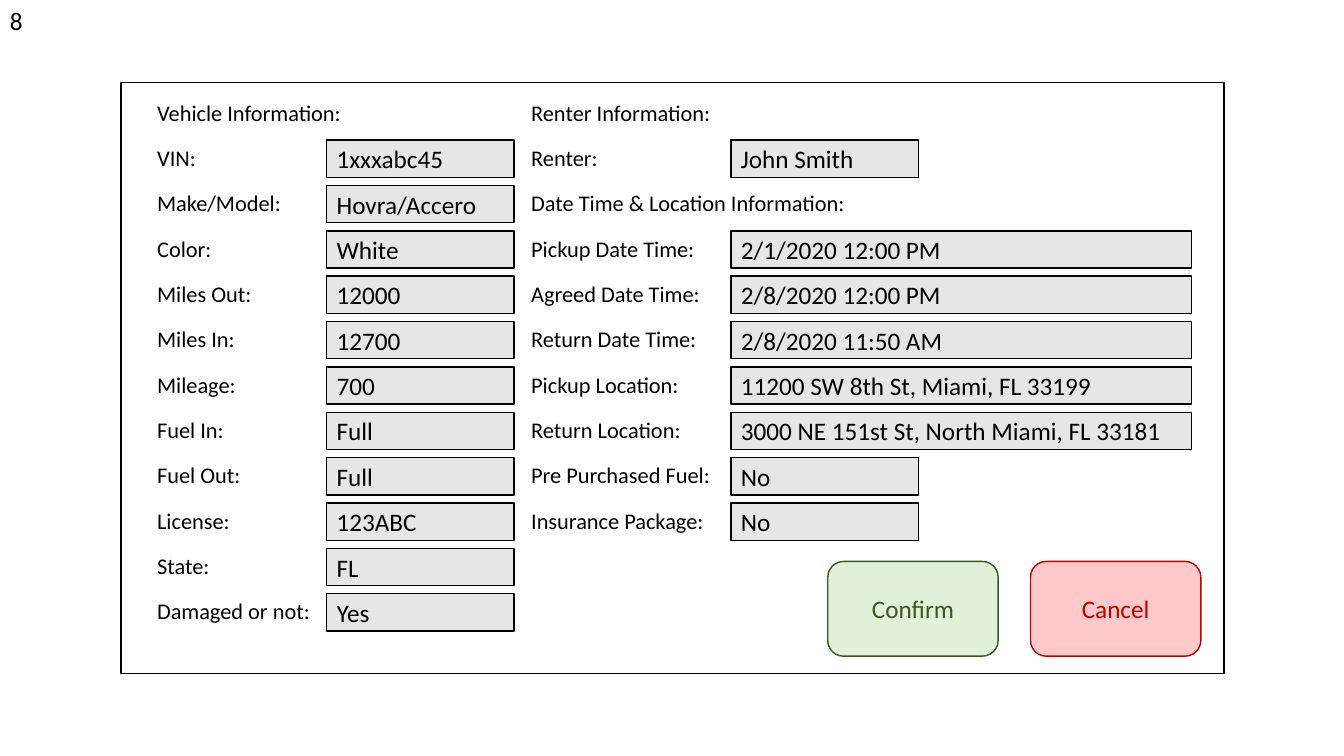
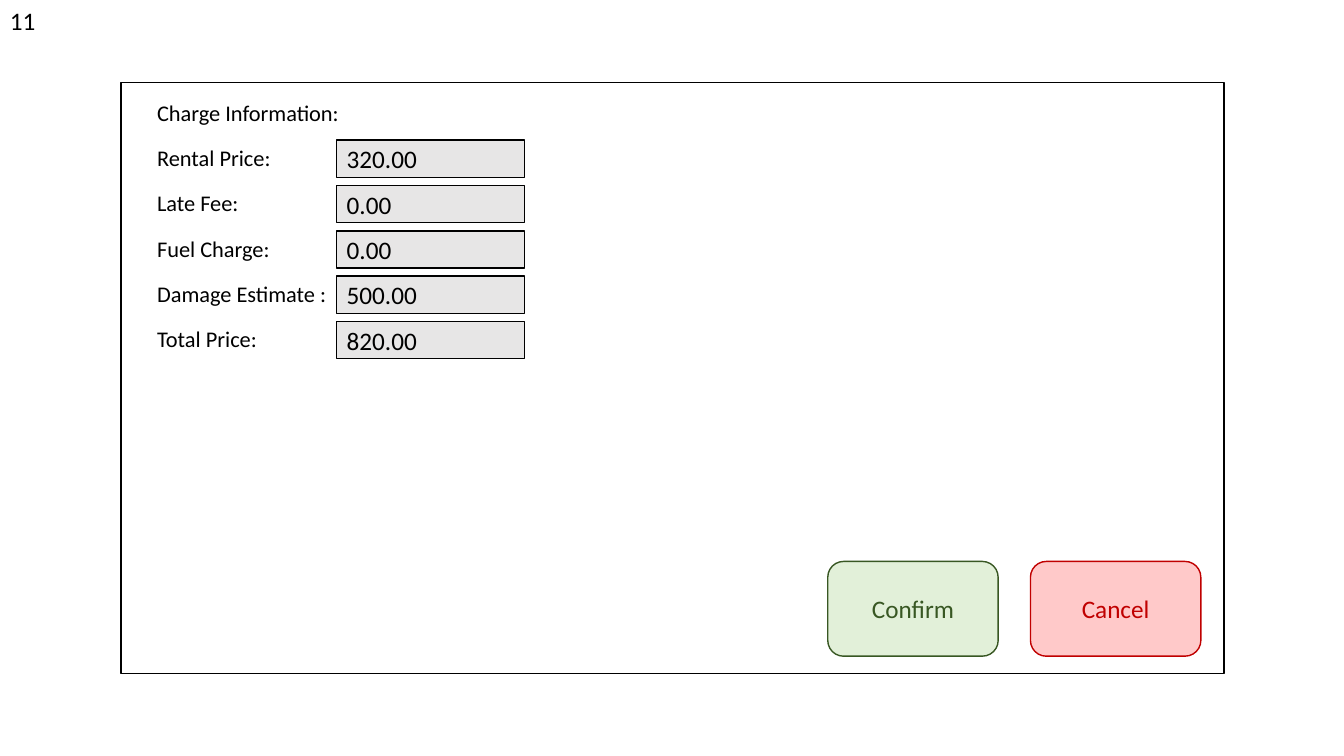
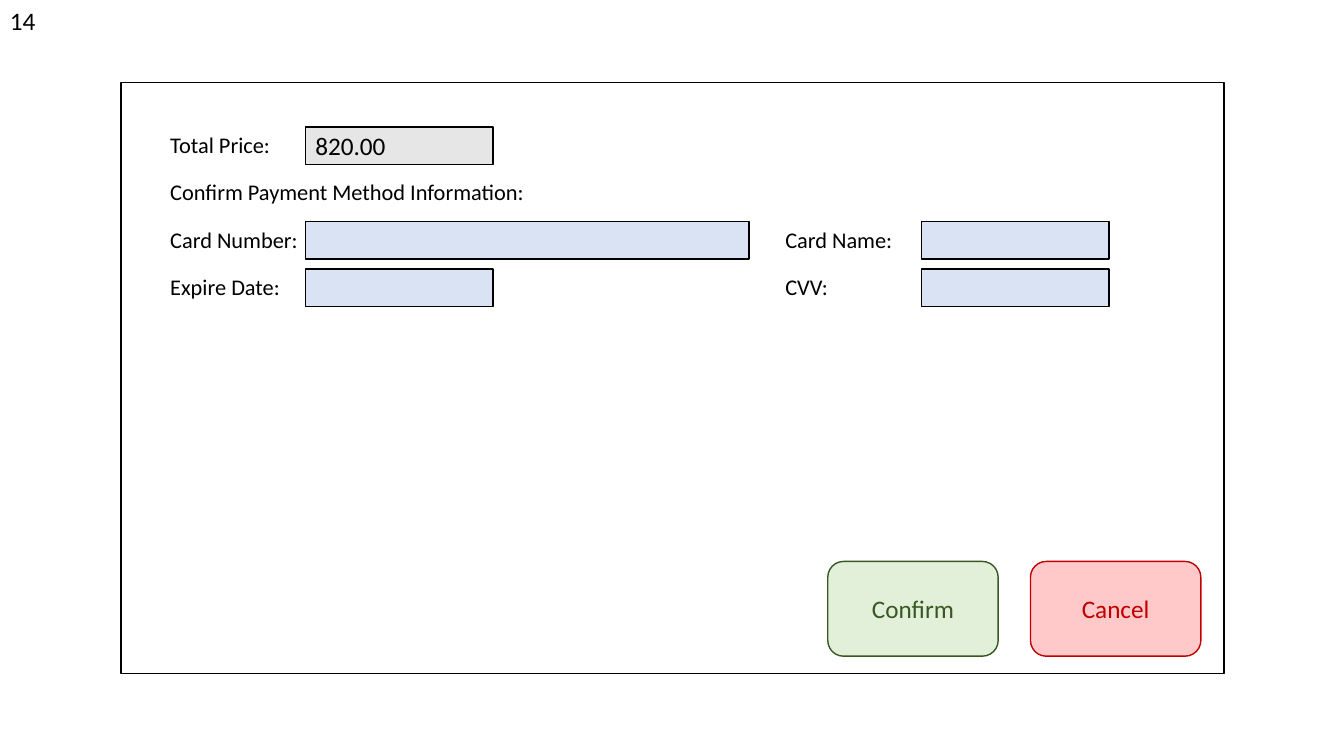
from pptx import Presentation
from pptx.dml.color import RGBColor
from pptx.enum.shapes import MSO_SHAPE
from pptx.enum.text import MSO_ANCHOR, PP_ALIGN
from pptx.util import Inches, Pt

# Shared style
FONT = "Calibri"
HUES = {"ink": "000000", "gray": "E7E6E6", "blue": "DAE3F3",
        "mint": "E2F0D9", "green": "385723", "pink": "FFC9C9", "red": "C00000"}
FRAME = (1.2, 0.82, 10.94, 5.86)
KEYS = [("Confirm", "mint", "green"), ("Cancel", "pink", "red")]
KEY_X, KEY_Y, KEY_W, KEY_H, KEY_STEP = 8.21, 5.57, 1.69, 0.94, 2.01
ROW_H = 0.37
SHORT, LONG, CARD = 1.86, 4.57, 4.4  # field widths

# Content: a heading is (text,), a field is (label, value, width, fill)
CAR = [
    ("Vehicle Information:",),
    ("VIN:", "1xxxabc45", SHORT, "gray"),
    ("Make/Model:", "Hovra/Accero", SHORT, "gray"),
    ("Color:", "White", SHORT, "gray"),
    ("Miles Out:", "12000", SHORT, "gray"),
    ("Miles In:", "12700", SHORT, "gray"),
    ("Mileage:", "700", SHORT, "gray"),
    ("Fuel In:", "Full", SHORT, "gray"),
    ("Fuel Out:", "Full", SHORT, "gray"),
    ("License:", "123ABC", SHORT, "gray"),
    ("State:", "FL", SHORT, "gray"),
    ("Damaged or not:", "Yes", SHORT, "gray"),
]
TRIP = [
    ("Renter Information:",),
    ("Renter:", "John Smith", SHORT, "gray"),
    ("Date Time & Location Information:",),
    ("Pickup Date Time:", "2/1/2020 12:00 PM", LONG, "gray"),
    ("Agreed Date Time:", "2/8/2020 12:00 PM", LONG, "gray"),
    ("Return Date Time:", "2/8/2020 11:50 AM", LONG, "gray"),
    ("Pickup Location:", "11200 SW 8th St, Miami, FL 33199", LONG, "gray"),
    ("Return Location:", "3000 NE 151st St, North Miami, FL 33181", LONG, "gray"),
    ("Pre Purchased Fuel:", "No", SHORT, "gray"),
    ("Insurance Package:", "No", SHORT, "gray"),
]
COST = [
    ("Charge Information:",),
    ("Rental Price:", "320.00", SHORT, "gray"),
    ("Late Fee:", "0.00", SHORT, "gray"),
    ("Fuel Charge:", "0.00", SHORT, "gray"),
    ("Damage Estimate :", "500.00", SHORT, "gray"),
    ("Total Price:", "820.00", SHORT, "gray"),
]
PAY = [
    ("Total Price:", "820.00", SHORT, "gray"),
    ("Confirm Payment Method Information:",),
    ("Card Number:", "", CARD, "blue"),
    ("Expire Date:", "", SHORT, "blue"),
]
OWNER = [
    ("Card Name:", "", SHORT, "blue"),
    ("CVV:", "", SHORT, "blue"),
]
# Page number, top of first row, row pitch, columns (label x, field x, first row, rows)
PAGES = [
    ("8", 0.94, 0.45, [(1.46, 3.24, 0, CAR), (5.17, 7.25, 0, TRIP)]),
    ("11", 0.94, 0.45, [(1.46, 3.34, 0, COST)]),
    ("14", 1.26, 0.47, [(1.59, 3.03, 0, PAY), (7.69, 9.14, 2, OWNER)]),
]


def hue(name):
    return RGBColor.from_string(HUES[name])


def write(shape, text, size, ink="ink", align=PP_ALIGN.LEFT):
    para = shape.text_frame.paragraphs[0]
    para.alignment = align
    run = para.add_run()
    run.text = text
    run.font.name, run.font.size = FONT, Pt(size)
    run.font.color.rgb = hue(ink)


def label(slide, text, x, y, wide, high, size):
    box = slide.shapes.add_textbox(*map(Inches, (x, y, wide, high)))
    box.text_frame.word_wrap = True
    write(box, text, size)


def panel(slide, kind, area, fill=None, line="ink"):
    shape = slide.shapes.add_shape(kind, *map(Inches, area))
    shape.shadow.inherit = False
    if fill:
        shape.fill.solid()
        shape.fill.fore_color.rgb = hue(fill)
    else:
        shape.fill.background()
    shape.line.color.rgb = hue(line)
    shape.line.width = Pt(1)
    shape.text_frame.vertical_anchor = MSO_ANCHOR.MIDDLE
    return shape


def column(slide, top, pitch, left, mid, first, rows):
    for n, (name, *field) in enumerate(rows, first):
        y = top + n * pitch
        label(slide, name, left, y - 0.01, 0.25 + 0.11 * len(name), ROW_H, 16)
        if field:
            value, wide, fill = field
            box = panel(slide, MSO_SHAPE.RECTANGLE, (mid, y, wide, ROW_H), fill)
            if value:
                write(box, value, 18)


# Build the pages
deck = Presentation()
deck.slide_width, deck.slide_height = Inches(13.33), Inches(7.5)
for number, top, pitch, columns in PAGES:
    slide = deck.slides.add_slide(deck.slide_layouts[6])
    panel(slide, MSO_SHAPE.RECTANGLE, FRAME)
    for part in columns:
        column(slide, top, pitch, *part)
    for n, (text, fill, ink) in enumerate(KEYS):
        area = (KEY_X + n * KEY_STEP, KEY_Y, KEY_W, KEY_H)
        key = panel(slide, MSO_SHAPE.ROUNDED_RECTANGLE, area, fill, ink)
        write(key, text, 18, ink, PP_ALIGN.CENTER)
    label(slide, number, 0, 0, 0.2 + 0.13 * len(number), 0.4, 18)

deck.save("out.pptx")
